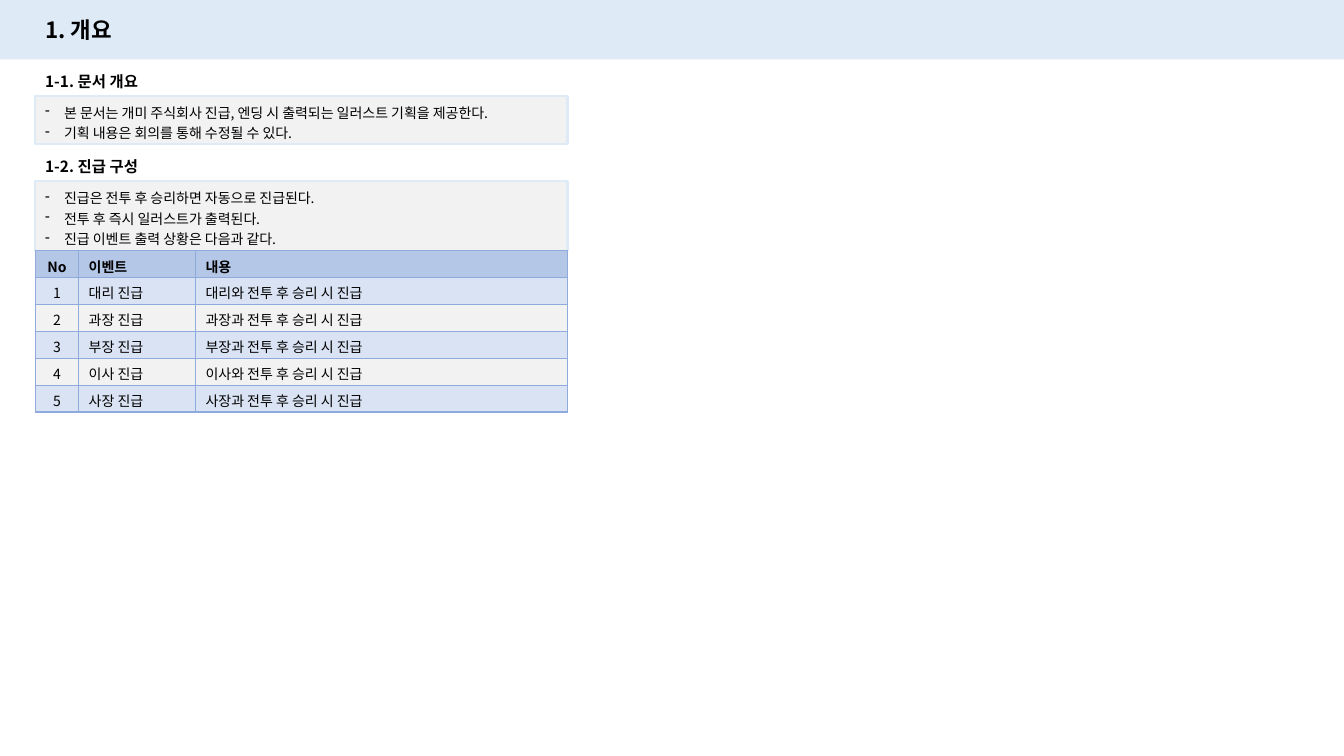
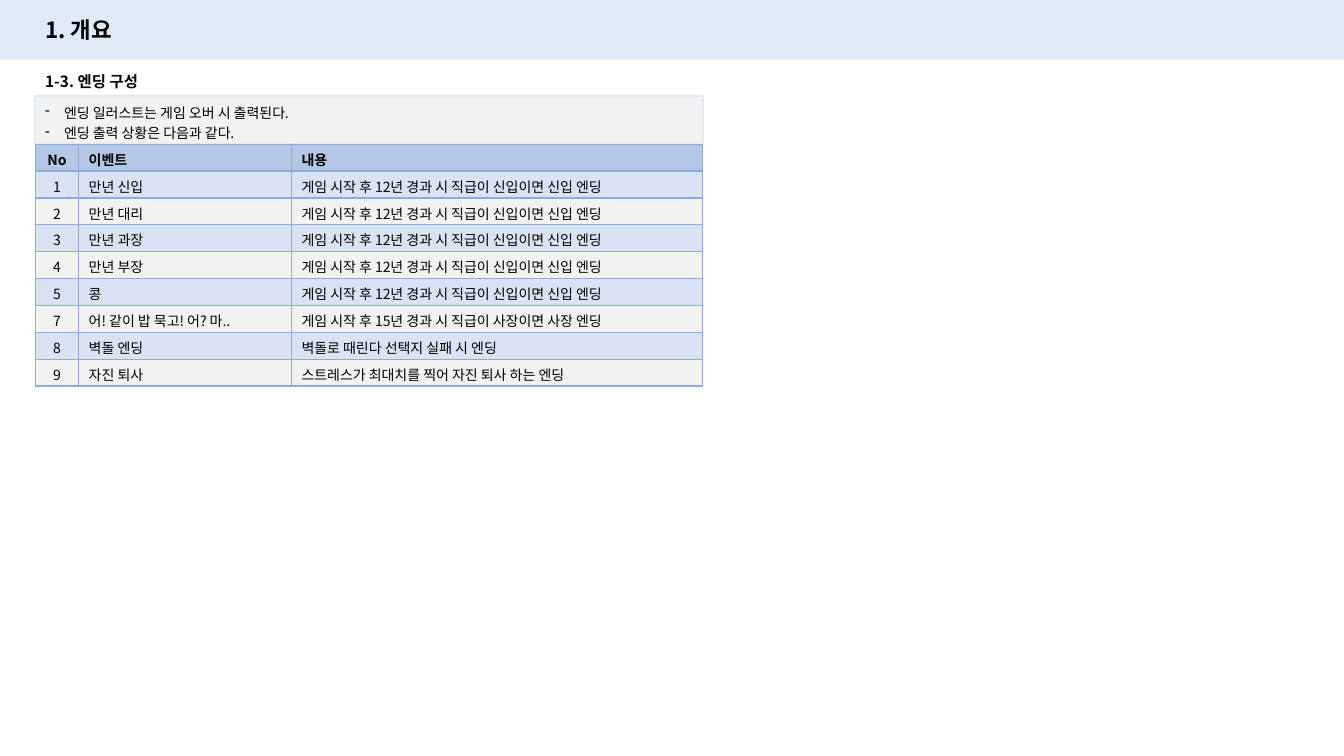
from lxml.etree import SubElement
from pptx import Presentation
from pptx.dml.color import RGBColor
from pptx.enum.shapes import MSO_SHAPE
from pptx.enum.text import MSO_ANCHOR, PP_ALIGN
from pptx.oxml import parse_xml
from pptx.oxml.ns import nsdecls, qn
from pptx.util import Pt

COLORS = {
    "text": "000000",
    "band": "DEEBF7",
    "panel": "F2F2F2",
    "header": "B4C7E7",
    "stripe": "DAE3F3",
    "border": "8FAADC",
}
FONT = "Noto Sans CJK KR"
SLIDE_WIDTH, SLIDE_HEIGHT = 960, 540
LEFT = 25.2
TITLE_WIDTH = 152
BODY_SIZE = 10
BULLET_INDENT = 13.5
ROW_HEIGHT = 19.2


def rgb(name):
    return RGBColor.from_string(COLORS[name])


class Deck:
    """Shared style, the current slide and the next free height on it."""

    def __init__(self):
        self.prs = Presentation()
        self.prs.slide_width = Pt(SLIDE_WIDTH)
        self.prs.slide_height = Pt(SLIDE_HEIGHT)
        self.slide = None
        self.top = 0

    def add_text(self, paragraph, text, size=BODY_SIZE, bold=False):
        run = paragraph.add_run()
        run.text = text
        run.font.size = Pt(size)
        run.font.bold = bold
        run.font.name = FONT
        run.font.color.rgb = rgb("text")
        SubElement(run.font._element, qn("a:ea"), typeface=FONT)

    def rectangle(self, left, top, width, height, fill, line=None):
        shape = self.slide.shapes.add_shape(
            MSO_SHAPE.RECTANGLE, Pt(left), Pt(top), Pt(width), Pt(height))
        shape.shadow.inherit = False
        shape.fill.solid()
        shape.fill.fore_color.rgb = rgb(fill)
        if line:
            shape.line.color.rgb = rgb(line)
            shape.line.width = Pt(1.5)
        else:
            shape.line.fill.background()
        return shape

    def label(self, text, top, height, size):
        frame = self.slide.shapes.add_textbox(
            Pt(LEFT), Pt(top), Pt(TITLE_WIDTH), Pt(height)).text_frame
        frame.word_wrap = True
        frame.vertical_anchor = MSO_ANCHOR.MIDDLE
        self.add_text(frame.paragraphs[0], text, size, bold=True)

    def new_slide(self, title):
        self.slide = self.prs.slides.add_slide(self.prs.slide_layouts[6])
        self.rectangle(0, 0, SLIDE_WIDTH, 42.5, "band")
        self.label(title, 8, 26.6, 16)
        self.top = 47.7

    def section(self, heading, items, width):
        # Heading
        self.label(heading, self.top, 20.6, 11)
        self.top += 20.7
        # Panel of dashed items, as tall as its lines
        height = 4.4 + 15.1 * len(items)
        frame = self.rectangle(
            LEFT, self.top, width, height, "panel", "band").text_frame
        frame.word_wrap = True
        frame.vertical_anchor = MSO_ANCHOR.TOP
        for index, item in enumerate(items):
            paragraph = frame.add_paragraph() if index else frame.paragraphs[0]
            paragraph.alignment = PP_ALIGN.LEFT
            paragraph.line_spacing = Pt(14.5)
            properties = paragraph._p.get_or_add_pPr()
            properties.set("marL", str(Pt(BULLET_INDENT)))
            properties.set("indent", str(-Pt(BULLET_INDENT)))
            SubElement(properties, qn("a:buChar"), char="-")
            self.add_text(paragraph, item)
        self.top += height

    def event_table(self, rows, widths):
        rows = [("No", "이벤트", "내용"), *rows]
        table = self.slide.shapes.add_table(
            len(rows), len(widths), Pt(LEFT), Pt(self.top),
            Pt(sum(widths)), Pt(ROW_HEIGHT * len(rows))).table
        for column, width in zip(table.columns, widths):
            column.width = Pt(width)
        for r, row in enumerate(rows):
            table.rows[r].height = Pt(ROW_HEIGHT)
            fill = "header" if r == 0 else "stripe" if r % 2 else "panel"
            for c, text in enumerate(row):
                self.fill_cell(table.cell(r, c), text, fill, r == 0, c == 0)

    def fill_cell(self, cell, text, fill, bold, centred):
        cell.fill.solid()
        cell.fill.fore_color.rgb = rgb(fill)
        cell.margin_top, cell.margin_bottom = Pt(3.6), Pt(1)
        paragraph = cell.text_frame.paragraphs[0]
        paragraph.alignment = PP_ALIGN.CENTER if centred else PP_ALIGN.LEFT
        self.add_text(paragraph, text, bold=bold)
        # Borders come before the fill in the cell properties
        for position, side in enumerate(("lnL", "lnR", "lnT", "lnB")):
            cell._tc.get_or_add_tcPr().insert(position, parse_xml(
                f'<a:{side} {nsdecls("a")} w="{Pt(1)}"><a:solidFill>'
                f'<a:srgbClr val="{COLORS["border"]}"/></a:solidFill></a:{side}>'))


def main():
    deck = Deck()
    chapter = "1. 개요"

    # Overview and promotions
    promotion_columns = (31, 83.5, 265.7)
    panel_width = sum(promotion_columns)
    deck.new_slide(chapter)
    deck.section("1-1. 문서 개요", [
        "본 문서는 개미 주식회사 진급, 엔딩 시 출력되는 일러스트 기획을 제공한다.",
        "기획 내용은 회의를 통해 수정될 수 있다.",
    ], panel_width)
    deck.top += 5.8
    deck.section("1-2. 진급 구성", [
        "진급은 전투 후 승리하면 자동으로 진급된다.",
        "전투 후 즉시 일러스트가 출력된다.",
        "진급 이벤트 출력 상황은 다음과 같다.",
    ], panel_width)
    opponents = ("대리와", "과장과", "부장과", "이사와", "사장과")
    deck.event_table([
        (str(number), f"{opponent[:2]} 진급", f"{opponent} 전투 후 승리 시 진급")
        for number, opponent in enumerate(opponents, 1)
    ], promotion_columns)

    # Endings
    ending_columns = (31, 152, 293.8)
    deck.new_slide(chapter)
    deck.section("1-3. 엔딩 구성", [
        "엔딩 일러스트는 게임 오버 시 출력된다.",
        "엔딩 출력 상황은 다음과 같다.",
    ], sum(ending_columns))
    newcomer = "게임 시작 후 12년 경과 시 직급이 신입이면 신입 엔딩"
    newcomer_endings = ("만년 신입", "만년 대리", "만년 과장", "만년 부장", "콩")
    deck.event_table([
        *((str(number), ending, newcomer)
          for number, ending in enumerate(newcomer_endings, 1)),
        ("7", "어! 같이 밥 묵고! 어? 마..",
         "게임 시작 후 15년 경과 시 직급이 사장이면 사장 엔딩"),
        ("8", "벽돌 엔딩", "벽돌로 때린다 선택지 실패 시 엔딩"),
        ("9", "자진 퇴사", "스트레스가 최대치를 찍어 자진 퇴사 하는 엔딩"),
    ], ending_columns)

    deck.prs.save("out.pptx")


if __name__ == "__main__":
    main()
